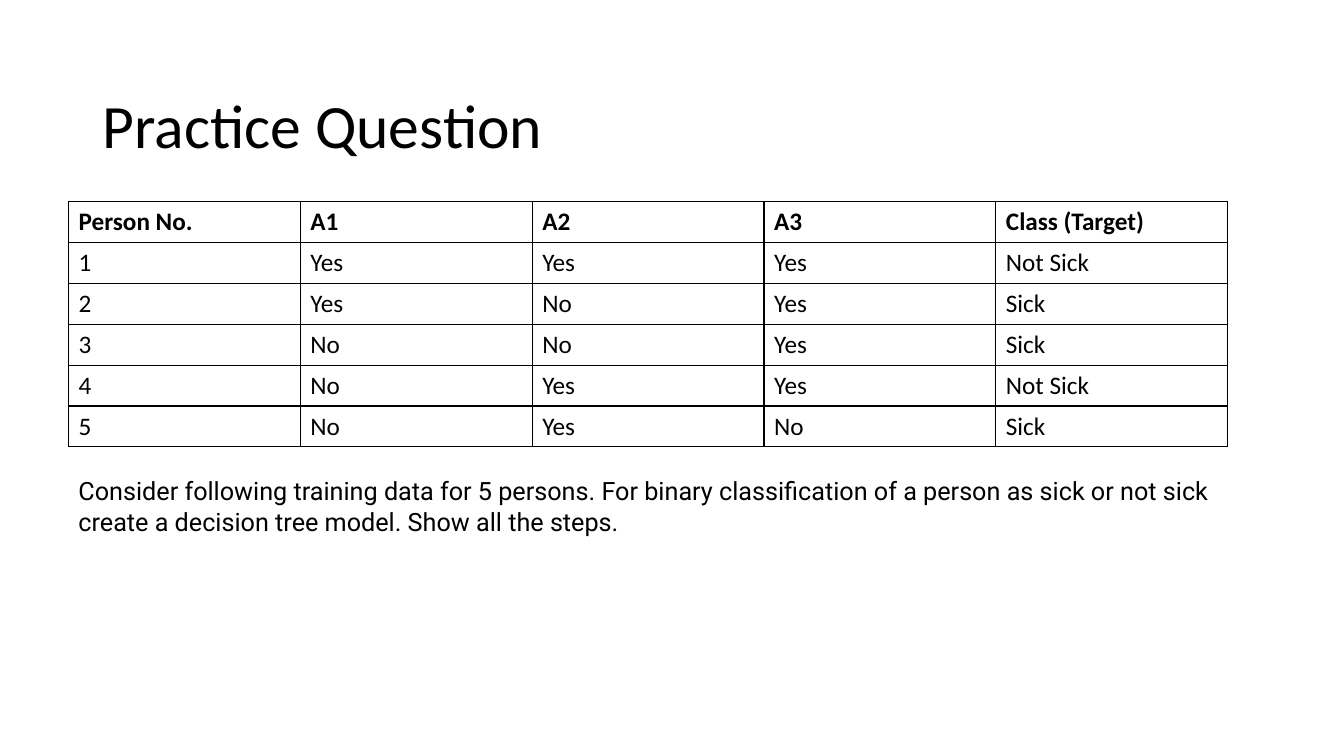
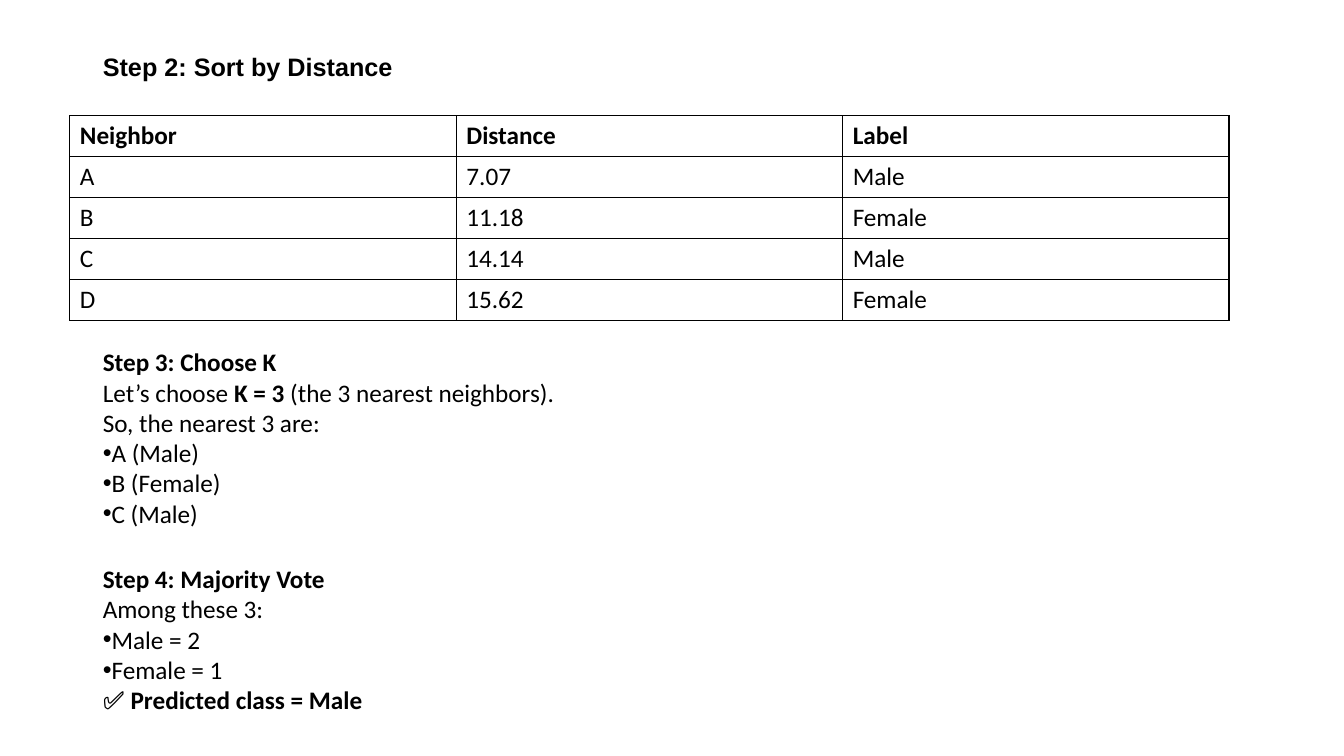
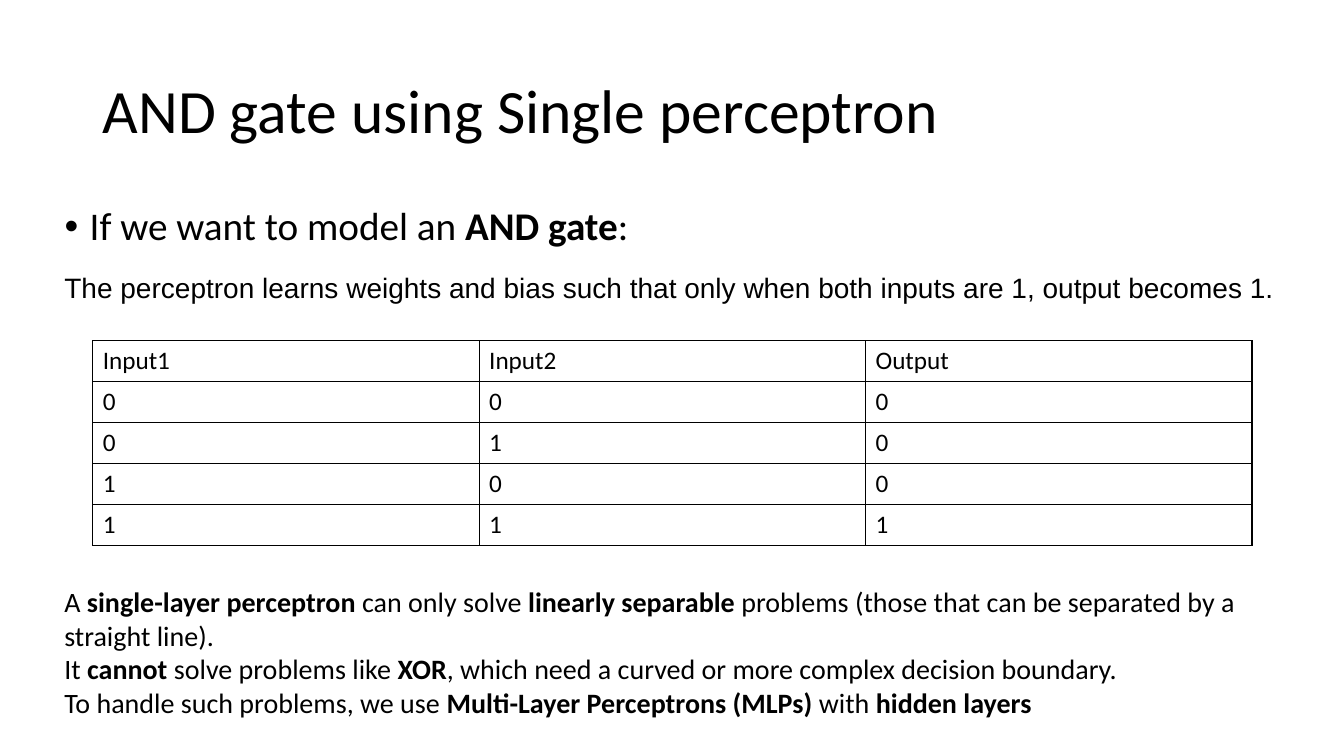
from lxml import etree
from pptx import Presentation
from pptx.dml.color import RGBColor
from pptx.enum.text import MSO_ANCHOR, MSO_AUTO_SIZE, PP_ALIGN
from pptx.oxml.ns import qn
from pptx.util import Inches, Pt

TOP, MIDDLE = MSO_ANCHOR.TOP, MSO_ANCHOR.MIDDLE
LEFT = PP_ALIGN.LEFT
NO_AUTOFIT = MSO_AUTO_SIZE.NONE
TITLE_AND_CONTENT, TWO_CONTENT, TITLE_ONLY = 1, 3, 5

BLACK = "000000"
BULLET = "•"
HANGING = Inches(0.25)
BORDER_WIDTH = Pt(1)

TITLE_FONT = {"name": "Calibri", "size": Pt(44)}
LEAD_FONT = {"name": "Calibri", "size": Pt(28)}
NOTE_FONT = {"name": "Calibri", "size": Pt(20)}
TEXT_FONT = {"name": "Calibri", "size": Pt(18)}

# Shares of the slide's size, in percent
MARGIN = 6.9
OUTER_MARGIN = 4.05
TABLE_WIDTH = 86.25
TITLE_HEIGHT = 19.33
ROW_HEIGHT = 5.33


def color(hex_string):
    return RGBColor.from_string(hex_string)


class Deck:
    """Holds the shared style and the slide being built."""

    def __init__(self):
        self.presentation = Presentation()
        self.presentation.slide_width = Inches(13.33)
        self.presentation.slide_height = Inches(7.5)
        self.slide = None

    def add_slide(self, layout):
        layouts = self.presentation.slide_layouts
        self.slide = self.presentation.slides.add_slide(layouts[layout])

    def box(self, left, top, width, height):
        """Turn percentages of the slide into lengths."""
        across = self.presentation.slide_width / 100
        down = self.presentation.slide_height / 100
        return (round(left * across), round(top * down),
                round(width * across), round(height * down))

    def add_lines(self, frame, lines, font, spacing=1.0, hanging=0):
        """Fill a text frame; ** switches bold, a leading bullet makes a list item."""
        for number, line in enumerate(lines):
            paragraph = frame.paragraphs[0] if number == 0 else frame.add_paragraph()
            properties = paragraph._p.get_or_add_pPr()
            is_item = line.startswith(BULLET)
            indent = hanging if is_item else 0
            properties.set("marL", str(indent))
            properties.set("indent", str(-indent))
            if is_item:
                etree.SubElement(properties, qn("a:buChar")).set("char", BULLET)
            else:
                etree.SubElement(properties, qn("a:buNone"))
            layout = {"alignment": LEFT, "line_spacing": spacing,
                      "space_before": Pt(0)}
            for name, value in layout.items():
                setattr(paragraph, name, value)
            for index, part in enumerate(line.removeprefix(BULLET).split("**")):
                if part:
                    self.add_run(paragraph, part, {**font, "bold": index % 2 == 1})

    def add_run(self, paragraph, text, font):
        run = paragraph.add_run()
        run.text = text
        for name, value in font.items():
            setattr(run.font, name, value)
        run.font.color.rgb = color(BLACK)

    def fill_shape(self, shape, area, lines, font, anchor=TOP, **layout):
        sides = ("left", "top", "width", "height")
        for name, value in zip(sides, self.box(*area)):
            setattr(shape, name, value)
        frame = shape.text_frame
        settings = {"word_wrap": True, "auto_size": NO_AUTOFIT,
                    "vertical_anchor": anchor}
        for name, value in settings.items():
            setattr(frame, name, value)
        self.add_lines(frame, lines, font, **layout)

    def title(self, text, top, width=TABLE_WIDTH, height=TITLE_HEIGHT,
              font=TITLE_FONT):
        self.fill_shape(self.slide.shapes.title, (MARGIN, top, width, height),
                        [text], font, MIDDLE, spacing=0.9)

    def body(self, index, area, lines, font=TEXT_FONT, **layout):
        self.fill_shape(self.slide.placeholders[index], area, lines, font, **layout)

    def text(self, area, lines, font, anchor=TOP):
        shape = self.slide.shapes.add_textbox(*self.box(*area))
        self.fill_shape(shape, area, lines, font, anchor)

    def table(self, left, top, rows):
        area = self.box(left, top, TABLE_WIDTH, ROW_HEIGHT * len(rows))
        table = self.slide.shapes.add_table(len(rows), len(rows[0]), *area).table
        table.first_row = table.horz_banding = False
        for row_number, row in enumerate(rows):
            for column_number, text in enumerate(row):
                cell = table.cell(row_number, column_number)
                self.add_borders(cell)
                cell.fill.background()
                cell.vertical_anchor = MIDDLE
                self.add_lines(cell.text_frame, [text], TEXT_FONT)

    def add_borders(self, cell):
        properties = cell._tc.get_or_add_tcPr()
        for side in ("L", "R", "T", "B"):
            line = etree.SubElement(properties, qn("a:ln" + side))
            line.set("w", str(BORDER_WIDTH))
            fill = etree.SubElement(line, qn("a:solidFill"))
            etree.SubElement(fill, qn("a:srgbClr")).set("val", BLACK)


def practice_question(deck):
    deck.add_slide(TITLE_ONLY)
    deck.title("Practice Question", 7.33)
    deck.table(5.1, 26.67, [
        ["**Person No.**", "**A1**", "**A2**", "**A3**", "**Class (Target)**"],
        ["1", "Yes", "Yes", "Yes", "Not Sick"],
        ["2", "Yes", "No", "Yes", "Sick"],
        ["3", "No", "No", "Yes", "Sick"],
        ["4", "No", "Yes", "Yes", "Not Sick"],
        ["5", "No", "Yes", "No", "Sick"],
    ])
    deck.text((5.1, 62.27, 88.05, 9.47), [
        "Consider following training data for 5 persons. For binary classification "
        "of a person as sick or not sick create a decision tree model. "
        "Show all the steps.",
    ], {**TEXT_FONT, "name": "Roboto"})


def nearest_neighbors(deck):
    deck.add_slide(TWO_CONTENT)
    deck.title("**Step 2: Sort by Distance**", 6.4, 34.2, 5.33,
               {**TEXT_FONT, "name": "Arial"})
    deck.table(5.2, 15.33, [
        ["**Neighbor**", "**Distance**", "**Label**"],
        ["A", "7.07", "Male"],
        ["B", "11.18", "Female"],
        ["C", "14.14", "Male"],
        ["D", "15.62", "Female"],
    ])
    deck.body(1, (MARGIN, 45.2, 50, 25.6), [
        "**Step 3: Choose K**",
        "Let’s choose **K = 3** (the 3 nearest neighbors).",
        "So, the nearest 3 are:",
        "•A (Male)",
        "•B (Female)",
        "•C (Male)",
    ])
    deck.body(2, (MARGIN, 73.87, 50, 21.6), [
        "**Step 4: Majority Vote**",
        "Among these 3:",
        "•Male = 2",
        "•Female = 1",
        "✅ **Predicted class = Male**",
    ])


def and_gate(deck):
    deck.add_slide(TITLE_AND_CONTENT)
    deck.title("AND gate using Single perceptron", 5.33)
    deck.body(1, (OUTER_MARGIN, 26.67, 89.1, 63.47),
              ["•If we want to model an **AND gate**:"],
              LEAD_FONT, spacing=0.9, hanging=HANGING)
    deck.table(MARGIN, 45.07, [
        ["Input1", "Input2", "Output"],
        ["0", "0", "0"],
        ["0", "1", "0"],
        ["1", "0", "0"],
        ["1", "1", "1"],
    ])
    deck.text((OUTER_MARGIN, 35.07, 92.2, 5.87), [
        "The perceptron learns weights and bias such that only when both inputs "
        "are 1, output becomes 1.",
    ], {**NOTE_FONT, "name": "Arial"}, MIDDLE)
    deck.text((OUTER_MARGIN, 76.67, 90.6, 19.33), [
        "A **single-layer perceptron** can only solve **linearly separable** "
        "problems (those that can be separated by a straight line).",
        "It **cannot** solve problems like **XOR**, which need a curved or more "
        "complex decision boundary.",
        "To handle such problems, we use **Multi-Layer Perceptrons (MLPs)** "
        "with **hidden layers**",
    ], NOTE_FONT)


def main():
    deck = Deck()
    for build_slide in (practice_question, nearest_neighbors, and_gate):
        build_slide(deck)
    deck.presentation.save("out.pptx")


if __name__ == "__main__":
    main()
